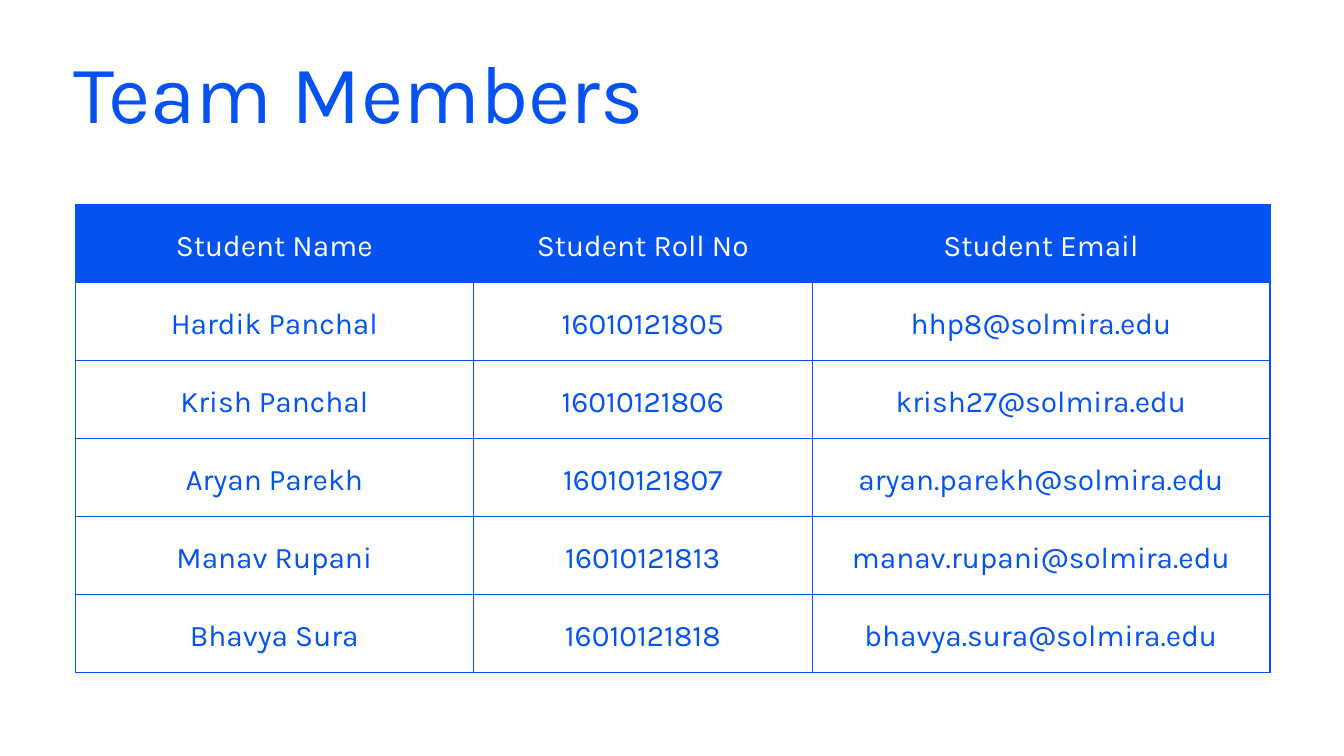
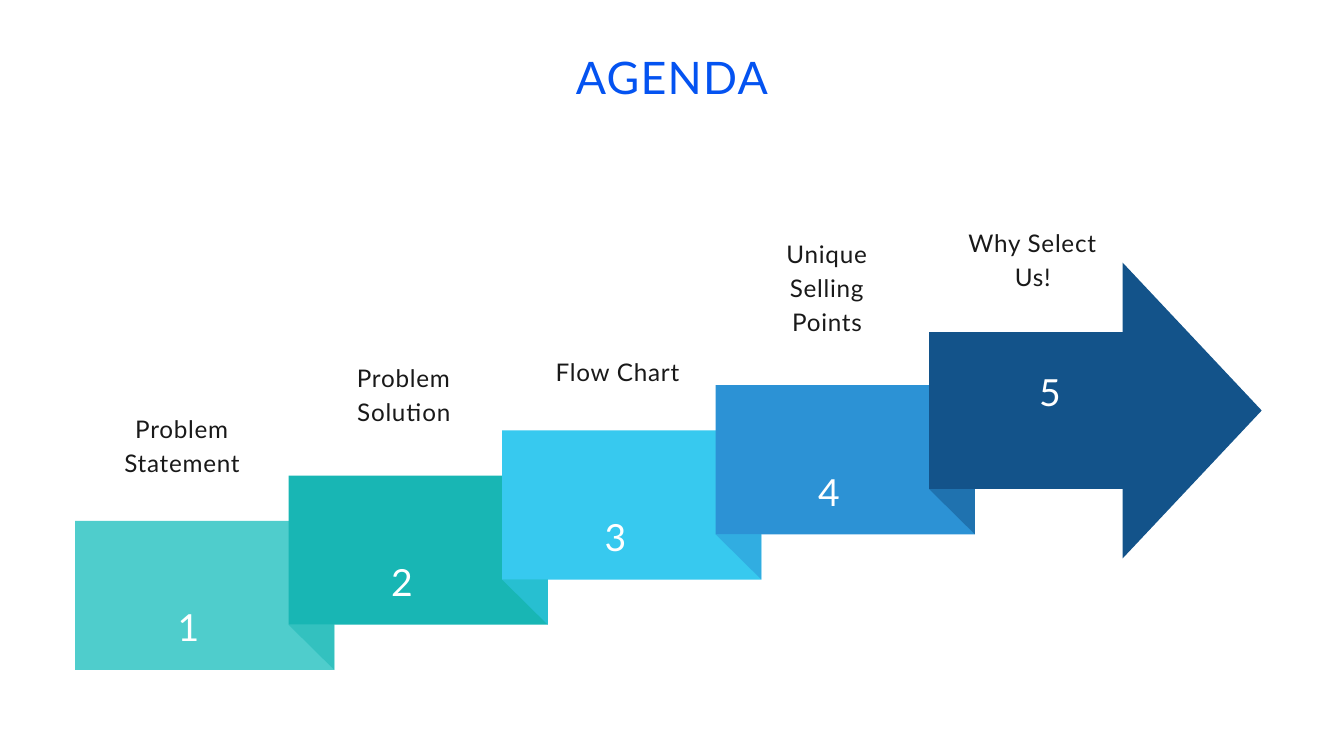
"""Build a team members table slide and a stepped agenda slide."""
from lxml.etree import SubElement
from pptx import Presentation
from pptx.dml.color import RGBColor
from pptx.enum.shapes import MSO_SHAPE as SHAPE
from pptx.enum.text import MSO_ANCHOR as ANCHOR, MSO_AUTO_SIZE as AUTO, PP_ALIGN as ALIGN
from pptx.oxml import parse_xml
from pptx.oxml.ns import nsdecls, qn
from pptx.util import Cm, Pt

THEME = {
    "blue": "0453F1", "white": "FFFFFF", "ink": "191919",
    "steps": ["4FCDCC", "18B6B4", "37C9EF", "2C92D5", "13538A"],
    "title": {"font": "Karla", "size": 88, "leading": 105.6, "align": ALIGN.LEFT},
    "heading": {"font": "Lato", "size": 48, "leading": 62.9, "spacing": 1.4},
    "cell": {"font": "Karla", "size": 32, "leading": 44.8},
    "number": {"font": "Lato", "size": 40, "leading": 56, "spacing": 2},
    "caption": {"font": "Lato", "size": 26, "leading": 36.4, "spacing": 0.8},
}
SIDES = ("margin_left", "margin_right", "margin_top", "margin_bottom")
FRAME = {"word_wrap": True, "auto_size": AUTO.NONE, "vertical_anchor": ANCHOR.TOP,
         **dict.fromkeys(SIDES, 0)}
CELL = {"vertical_anchor": ANCHOR.MIDDLE, **dict.fromkeys(SIDES, Cm(0.53))}
NUMBER = {**FRAME, "vertical_anchor": ANCHOR.MIDDLE, **dict.fromkeys(SIDES, Cm(0.15))}


def write(box, tf, text, style, color, frame):
    """Put one styled paragraph into a text frame or table cell."""
    for name, value in frame.items():
        setattr(box, name, value)
    look = THEME[style]
    p = tf.paragraphs[0]
    p.alignment = look.get("align", ALIGN.CENTER)
    p.line_spacing = Pt(look["leading"])
    r = p.add_run()
    r.text = text
    for name, value in {"name": look["font"], "size": Pt(look["size"]), "bold": False}.items():
        setattr(r.font, name, value)
    r.font.color.rgb = RGBColor.from_string(color)
    if "spacing" in look:
        r._r.get_or_add_rPr().set("spc", str(round(look["spacing"] * 100)))


def add_block(slide, kind, box, color, alpha=None):
    """Add a flat preset shape, see-through if alpha is given."""
    sp = slide.shapes.add_shape(kind, *map(Cm, box))
    sp.shadow.inherit = False
    sp.line.fill.background()
    sp.fill.solid()
    sp.fill.fore_color.rgb = RGBColor.from_string(color)
    if alpha:
        clr = sp._element.spPr.find(qn("a:solidFill"))[0]
        SubElement(clr, qn("a:alpha"), val=str(alpha * 1000))
    return sp


prs = Presentation()
prs.slide_width, prs.slide_height = Cm(50.8), Cm(28.58)

slides = []
for text, style, box in [
    ("Team Members", "title", (2.77, 1.57, 45.16, 3.68)),
    ("AGENDA", "heading", (9.86, 1.68, 31.09, 2.11)),
]:
    s = prs.slides.add_slide(prs.slide_layouts[5])
    sp = s.shapes.title
    sp.left, sp.top, sp.width, sp.height = map(Cm, box)
    write(sp.text_frame, sp.text_frame, text, style, THEME["blue"], FRAME)
    slides.append(s)
team, agenda = slides

members = [
    ("Student Name", "Student Roll No", "Student Email"),
    ("Hardik Panchal", "16010121805", "hhp8@solmira.edu"),
    ("Krish Panchal", "16010121806", "krish27@solmira.edu"),
    ("Aryan Parekh", "16010121807", "aryan.parekh@solmira.edu"),
    ("Manav Rupani", "16010121813", "manav.rupani@solmira.edu"),
    ("Bhavya Sura", "16010121818", "bhavya.sura@solmira.edu"),
]
widths = (15.06, 12.8, 17.3)
table = team.shapes.add_table(len(members), len(widths), Cm(2.84), Cm(7.72),
                              Cm(sum(widths)), Cm(2.95 * len(members))).table
table.first_row = table.horz_banding = False
for col, width in zip(table.columns, widths):
    col.width = Cm(width)
for i, row in enumerate(members):
    for j, text in enumerate(row):
        cell = table.cell(i, j)
        header = i == 0
        write(cell, cell.text_frame, text, "cell", THEME["white" if header else "blue"], CELL)
        if header:
            cell.fill.solid()
            cell.fill.fore_color.rgb = RGBColor.from_string(THEME["blue"])
        else:
            cell.fill.background()
        for n, side in enumerate("LRTB"):
            cell._tc.get_or_add_tcPr().insert(n, parse_xml(
                f'<a:ln{side} {nsdecls("a")} w="{Pt(1.5)}"><a:solidFill>'
                f'<a:srgbClr val="{THEME["blue"]}"/></a:solidFill></a:ln{side}>'))

left, top, width, height = 2.84, 19.69, 9.8, 5.64
step, rise = 8.07, 1.71
captions = [
    ("Problem Statement", 4.27, 15.49, 2),
    ("Problem Solution", 12.65, 13.56, 2),
    ("Flow Chart", 20.73, 13.31, 1),
    ("Unique Selling Points", 28.65, 8.86, 3),
    ("Why Select Us!", 36.42, 8.46, 2),
]
colors = THEME["steps"]
for i, (caption, cap_left, cap_top, lines) in enumerate(captions):
    x, y = left + i * step, top - i * rise
    if i < len(captions) - 1:
        add_block(agenda, SHAPE.RECTANGLE, (x, y, width, height), colors[i])
        fold = add_block(agenda, SHAPE.RIGHT_TRIANGLE,
                         (x + step, y + height - rise, width - step, rise), colors[i + 1], 50)
        fold.rotation = 180
        number_box = (x, y - 0.81, 8.56, 9.37)
    else:
        arrow = add_block(agenda, SHAPE.RIGHT_ARROW, (x, 9.93, 12.57, 11.18), colors[i])
        arrow.adjustments[0], arrow.adjustments[1] = 0.53, 0.47
        number_box = (x, 11.56, 9.14, 6.2)
    for text, style, color, frame, box in [
        (str(i + 1), "number", THEME["white"], NUMBER, number_box),
        (caption, "caption", THEME["ink"], FRAME, (cap_left, cap_top, 5.23, 1.26 * lines)),
    ]:
        tf = agenda.shapes.add_textbox(*map(Cm, box)).text_frame
        write(tf, tf, text, style, color, frame)

prs.save("out.pptx")
